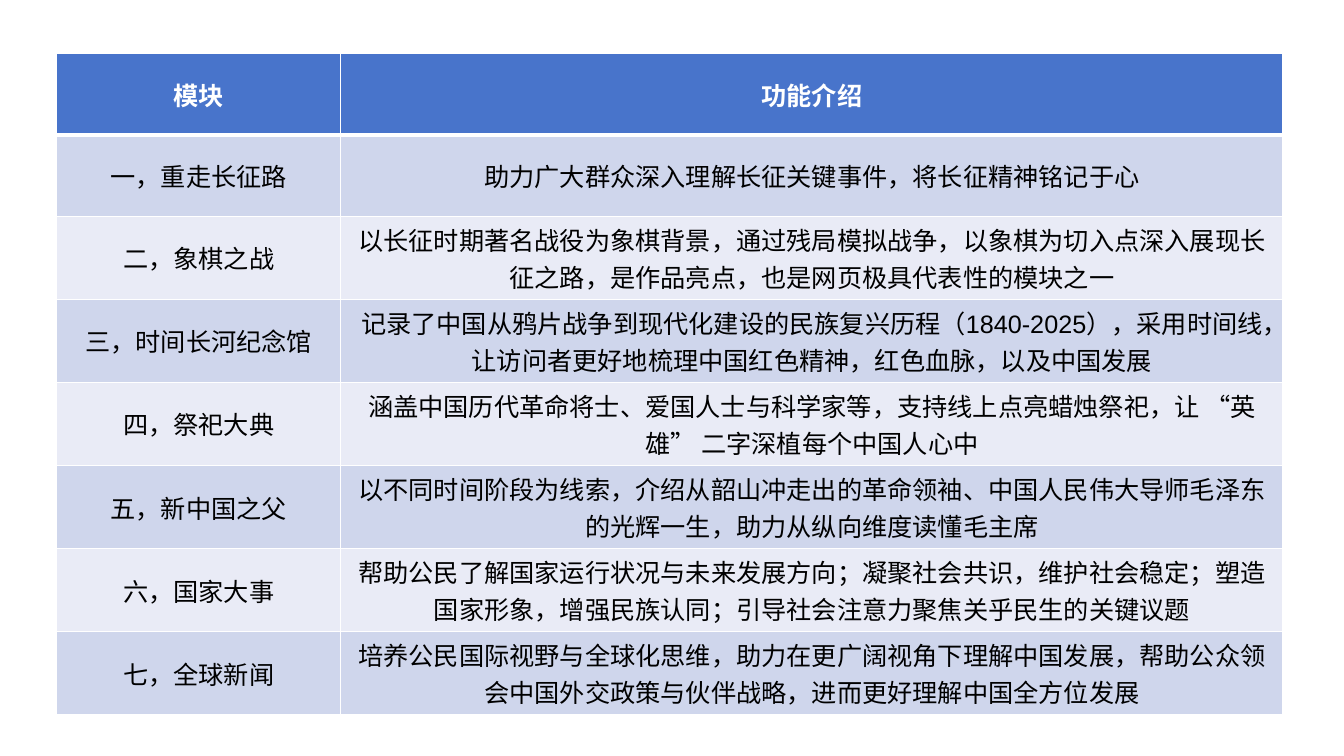
from lxml import etree
from pptx import Presentation
from pptx.dml.color import RGBColor
from pptx.enum import text
from pptx.oxml import ns
from pptx.util import Pt

WHITE = RGBColor(0xFF, 0xFF, 0xFF)
BLACK = RGBColor(0x00, 0x00, 0x00)
HEADER_BLUE = RGBColor(0x48, 0x74, 0xCB)
BAND_DARK = RGBColor(0xCF, 0xD6, 0xEC)
BAND_LIGHT = RGBColor(0xE9, 0xEB, 0xF6)

HEADER = ("模块", "功能介绍")
MODULES = [
    ("一，重走长征路", "助力广大群众深入理解长征关键事件，将长征精神铭记于心"),
    ("二，象棋之战", "以长征时期著名战役为象棋背景，通过残局模拟战争，以象棋为切入点深入展现长征之路，是作品亮点，也是网页极具代表性的模块之一"),
    ("三，时间长河纪念馆", "记录了中国从鸦片战争到现代化建设的民族复兴历程（1840-2025），采用时间线，让访问者更好地梳理中国红色精神，红色血脉，以及中国发展"),
    ("四，祭祀大典", "涵盖中国历代革命将士、爱国人士与科学家等，支持线上点亮蜡烛祭祀，让 “英雄” 二字深植每个中国人心中"),
    ("五，新中国之父", "以不同时间阶段为线索，介绍从韶山冲走出的革命领袖、中国人民伟大导师毛泽东的光辉一生，助力从纵向维度读懂毛主席"),
    ("六，国家大事", "帮助公民了解国家运行状况与未来发展方向；凝聚社会共识，维护社会稳定；塑造国家形象，增强民族认同；引导社会注意力聚焦关乎民生的关键议题"),
    ("七，全球新闻", "培养公民国际视野与全球化思维，助力在更广阔视角下理解中国发展，帮助公众领会中国外交政策与伙伴战略，进而更好理解中国全方位发展"),
]


def write_text(cell, content, size=18, color=BLACK, bold=False):
    cell.vertical_anchor = text.MSO_ANCHOR.MIDDLE
    paragraph = cell.text_frame.paragraphs[0]
    paragraph.alignment = text.PP_ALIGN.CENTER
    run = paragraph.add_run()
    run.text = content
    run.font.name = "Arial"
    run.font.size = Pt(size)
    run.font.bold = bold
    run.font.color.rgb = color


def set_borders(cell, **widths):
    properties = cell._tc.get_or_add_tcPr()
    for position, (side, width) in enumerate(widths.items()):
        line = etree.Element(ns.qn(f"a:{side}"), w=str(Pt(width)))
        fill = etree.SubElement(line, ns.qn("a:solidFill"))
        etree.SubElement(fill, ns.qn("a:srgbClr"), val=str(WHITE))
        properties.insert(position, line)


def add_module_table(slide, left, top, width, height, name_width):
    rows = [HEADER, *MODULES]
    shape = slide.shapes.add_table(len(rows), len(HEADER), left, top, width, height)
    table = shape.table
    table.columns[0].width = name_width
    table.columns[1].width = width - name_width
    for index, contents in enumerate(rows):
        is_header = index == 0
        band = BAND_DARK if index % 2 else BAND_LIGHT
        for cell, content in zip(table.rows[index].cells, contents):
            cell.fill.solid()
            cell.fill.fore_color.rgb = HEADER_BLUE if is_header else band
            write_text(cell, content, color=WHITE if is_header else BLACK, bold=is_header)
            set_borders(cell, lnL=1, lnR=1, lnT=3 if index == 1 else 1, lnB=3 if is_header else 1)


def main():
    presentation = Presentation()
    presentation.slide_width = Pt(960)
    presentation.slide_height = Pt(540)
    slide = presentation.slides.add_slide(presentation.slide_layouts[6])
    add_module_table(slide, Pt(40.5), Pt(38.3), Pt(876), Pt(465), name_width=Pt(202.8))
    presentation.save("out.pptx")


if __name__ == "__main__":
    main()
